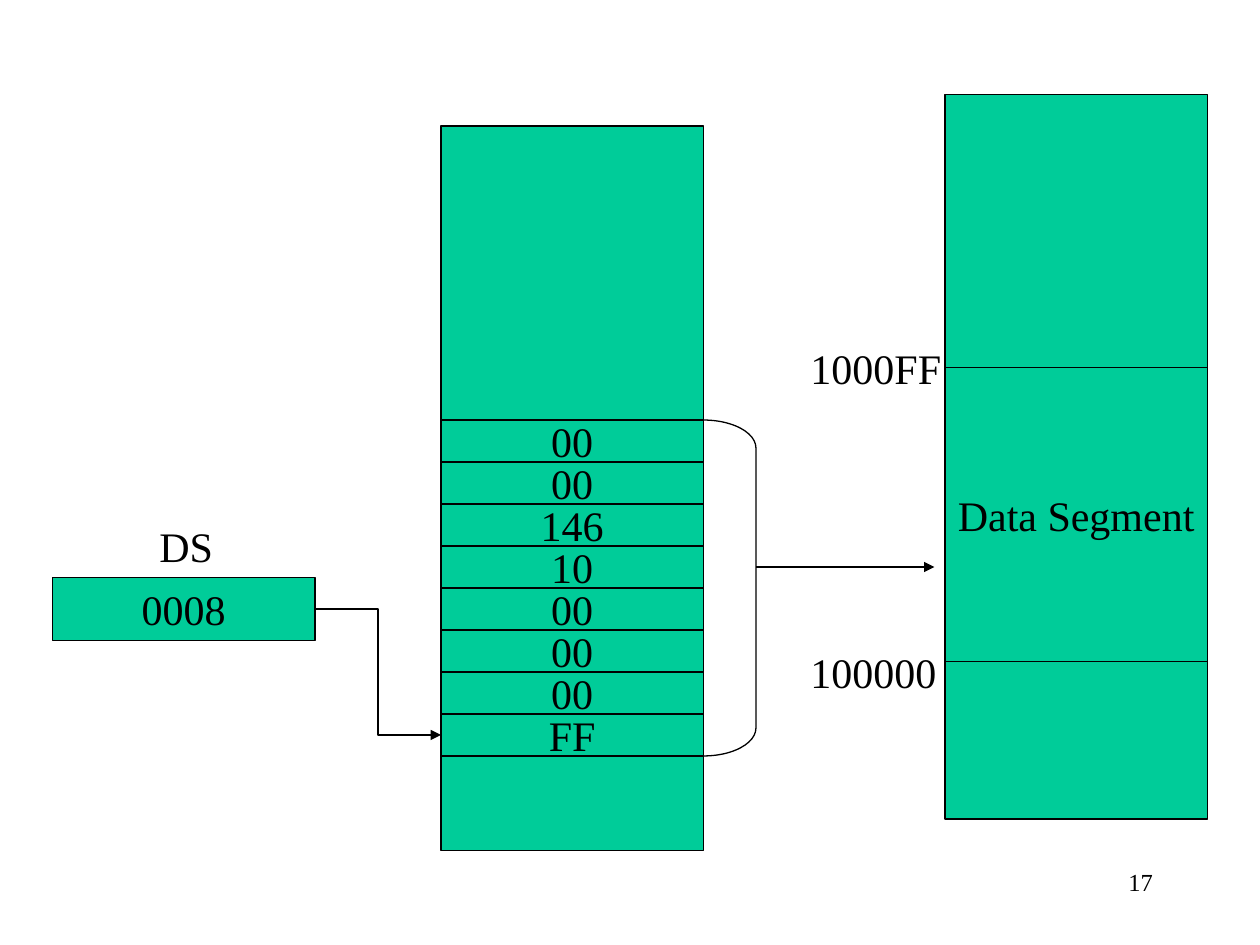
from dataclasses import dataclass
from typing import NamedTuple

from lxml.etree import SubElement
from pptx import Presentation
from pptx.dml.color import RGBColor as Rgb
from pptx.enum.shapes import MSO_CONNECTOR as Link, MSO_SHAPE as Form
from pptx.enum.text import MSO_ANCHOR as Anchor, MSO_AUTO_SIZE as Fit, PP_ALIGN as Align
from pptx.oxml.ns import qn
from pptx.util import Inches, Pt

COLS, ROWS = 120, 90  # grid of the slide


@dataclass(frozen=True)
class Theme:
    fill: Rgb = Rgb(0x00, 0xCC, 0x99)
    ink: Rgb = Rgb(0, 0, 0)
    font: str = "Times New Roman"
    body: Pt = Pt(24)
    small: Pt = Pt(14)
    line: Pt = Pt(0.75)


class Area(NamedTuple):
    col: float
    row: float
    wide: float
    high: float


class Block(NamedTuple):
    area: Area
    text: str = ""


class Label(NamedTuple):
    area: Area
    text: str
    size: Pt
    align: Align = Align.LEFT
    fit: Fit = Fit.SHAPE_TO_FIT_TEXT


class Arrow(NamedTuple):
    kind: Link
    start: tuple[int, int]
    end: tuple[int, int]


THEME = Theme()
BAR = 25   # width of every block, in columns
CELL = 4   # height of a descriptor byte, in rows
BYTES = ["00", "00", "146", "10", "00", "00", "00", "FF"]  # top to bottom
TABLE, FIRST, MEMORY = 42, 40, 90  # table column, first byte row, memory column

BLOCKS = [
    Block(Area(5, 55, BAR, 6), "0008"),
    Block(Area(TABLE, 12, BAR, 69)),
    *(Block(Area(TABLE, FIRST + i * CELL, BAR, CELL), byte)
      for i, byte in enumerate(BYTES)),
    Block(Area(MEMORY, 9, BAR, 69)),
    Block(Area(MEMORY, 35, BAR, 28), "Data Segment"),
]
LABELS = [
    Label(Area(14, 49, 20, 6), "DS", THEME.body),
    Label(Area(76, 61, 18, 6), "100000", THEME.body),
    Label(Area(76, 32, 18, 6), "1000FF", THEME.body),
    Label(Area(86, 82, BAR, 6), "17", THEME.small, Align.RIGHT, Fit.NONE),
]
ARROWS = [
    Arrow(Link.ELBOW, (30, 58), (TABLE, 70)),
    Arrow(Link.STRAIGHT, (72, 54), (89, 54)),
]
BRACE = Area(TABLE + BAR, FIRST, 5, len(BYTES) * CELL)


def x(col: float) -> int:
    return round(Inches(10) * col / COLS)


def y(row: float) -> int:
    return round(Inches(7.5) * row / ROWS)


def place(area: Area) -> tuple[int, int, int, int]:
    return x(area.col), y(area.row), x(area.wide), y(area.high)


def apply(target, **values) -> None:
    for name, value in values.items():
        setattr(target, name, value)


def ink(line) -> None:
    line.color.rgb = THEME.ink
    line.width = THEME.line


def write(frame, text: str, size: Pt, align: Align, **form) -> None:
    apply(frame, **form)
    para = frame.paragraphs[0]
    para.alignment = align
    run = para.add_run()
    run.text = text
    apply(run.font, name=THEME.font, size=size)
    run.font.color.rgb = THEME.ink


def draw_block(shapes, block: Block) -> None:
    box = shapes.add_shape(Form.RECTANGLE, *place(block.area))
    box.shadow.inherit = False
    box.fill.solid()
    box.fill.fore_color.rgb = THEME.fill
    ink(box.line)
    if block.text:
        write(box.text_frame, block.text, THEME.body, Align.CENTER,
              word_wrap=False, vertical_anchor=Anchor.MIDDLE)


def draw_label(shapes, label: Label) -> None:
    box = shapes.add_textbox(*place(label.area))
    write(box.text_frame, label.text, label.size, label.align,
          word_wrap=True, auto_size=label.fit)


def draw_arrow(shapes, arrow: Arrow) -> None:
    (left, top), (right, low) = arrow.start, arrow.end
    link = shapes.add_connector(arrow.kind, x(left), y(top), x(right), y(low))
    ink(link.line)
    SubElement(link.line._get_or_add_ln(), qn("a:tailEnd"), type="triangle")
    SubElement(link._element.spPr, qn("a:effectLst"))


def draw_brace(shapes, area: Area) -> None:
    brace = shapes.add_shape(Form.RIGHT_BRACKET, *place(area))
    brace.adjustments[0] = area.high / 12 / area.wide
    brace.shadow.inherit = False
    brace.fill.background()
    ink(brace.line)


def main() -> None:
    deck = Presentation()
    apply(deck, slide_width=Inches(10), slide_height=Inches(7.5))
    shapes = deck.slides.add_slide(deck.slide_layouts[6]).shapes
    for block in BLOCKS:
        draw_block(shapes, block)
    for label in LABELS:
        draw_label(shapes, label)
    for arrow in ARROWS:
        draw_arrow(shapes, arrow)
    draw_brace(shapes, BRACE)
    deck.save("out.pptx")


if __name__ == "__main__":
    main()
